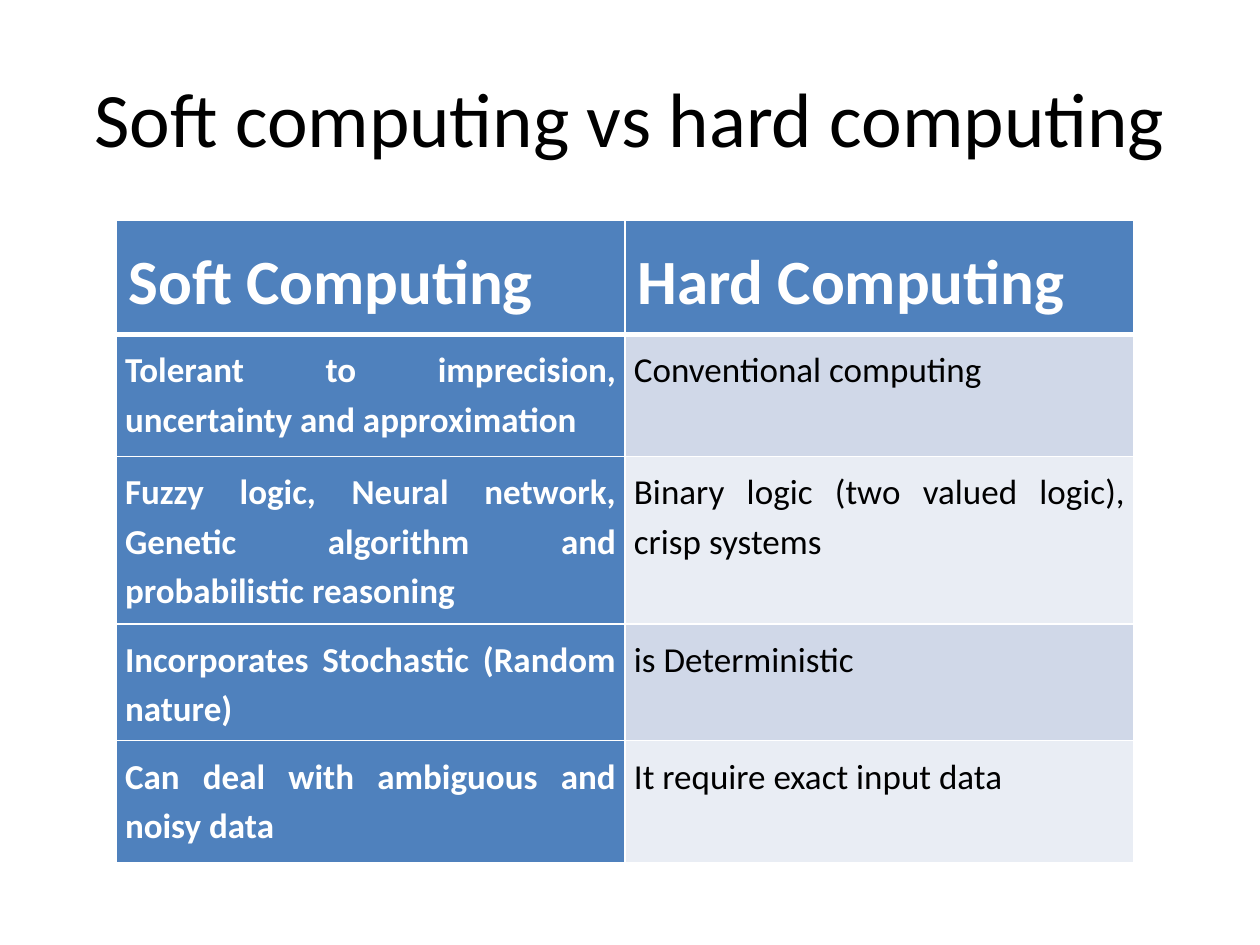
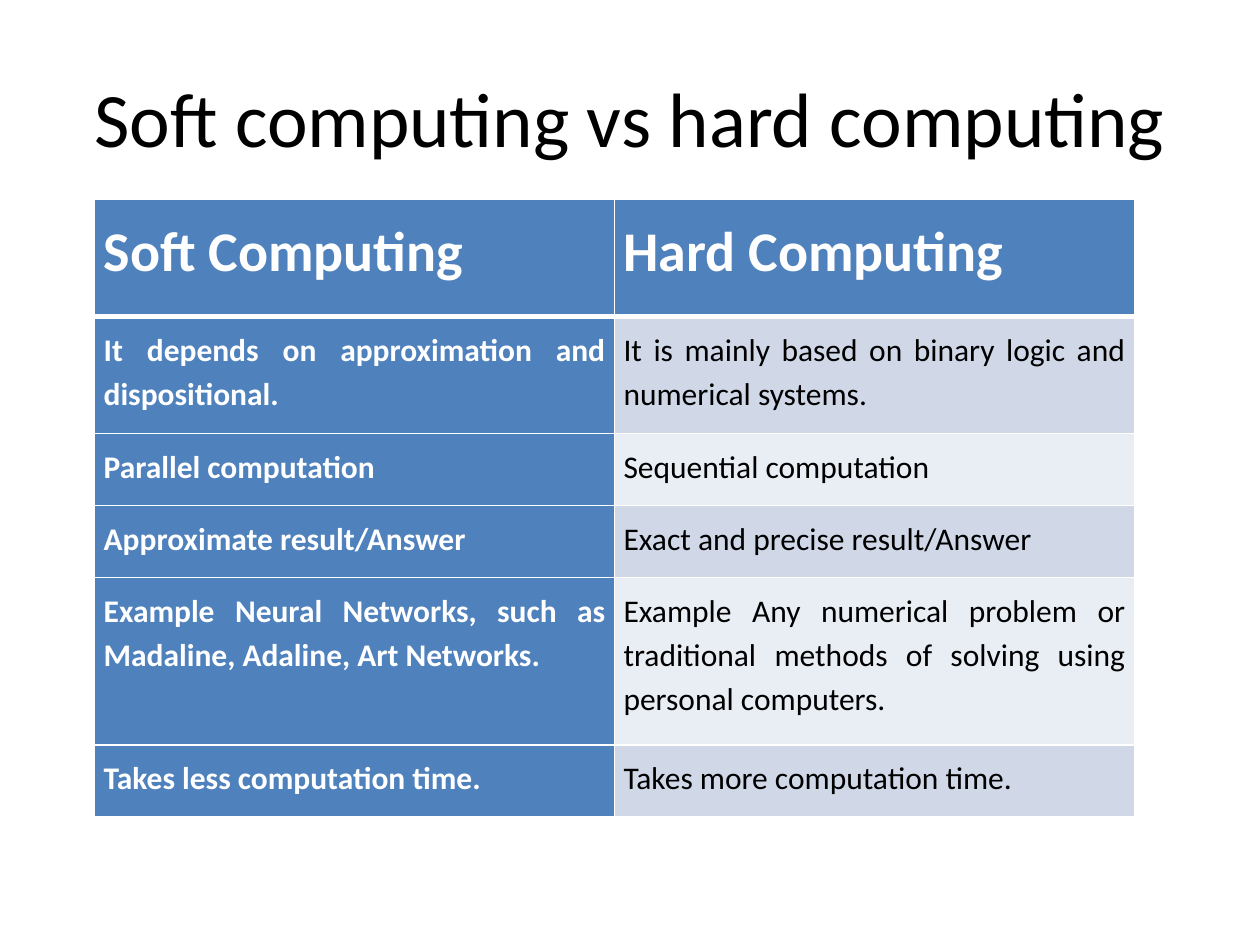
from lxml import etree
from pptx import Presentation
from pptx.dml.color import RGBColor
from pptx.enum.text import MSO_ANCHOR, PP_ALIGN
from pptx.oxml.ns import qn
from pptx.util import Cm, Pt

CENTER, LEFT, JUSTIFY = PP_ALIGN.CENTER, PP_ALIGN.LEFT, PP_ALIGN.JUSTIFY
MIDDLE = MSO_ANCHOR.MIDDLE

TITLE = "Soft computing vs hard computing"
HEADINGS = ("Soft Computing", "Hard Computing")
FONT = "Calibri"
COLORS = {
    "text": "000000",
    "white": "FFFFFF",
    "accent": "4F81BD",
    "odd_band": "D0D8E8",
    "even_band": "E9EDF4",
}
TITLE_ONLY = 5
CELL_MARGIN = 0.18

COMPARISONS = [
    {
        "left": 2.34, "top": 4.45, "column_width": 10.26,
        "row_heights": (2.06, 2.46, 3.38, 1.47, 2.46),
        "heading_size": 36, "body_size": 20, "heading_margin": 0.25,
        "rows": [
            ("Tolerant to imprecision, uncertainty and approximation",
             "Conventional computing"),
            ("Fuzzy logic, Neural network, Genetic algorithm and probabilistic reasoning",
             "Binary logic (two valued logic), crisp systems"),
            ("Incorporates Stochastic (Random nature)", "is Deterministic"),
            ("Can deal with ambiguous and noisy data", "It require exact input data"),
        ],
    },
    {
        "left": 1.91, "top": 4.02, "column_width": 10.48,
        "row_heights": (2.36, 2.36, 1.45, 1.45, 3.38, 1.45),
        "heading_size": 32, "body_size": 18, "heading_margin": CELL_MARGIN,
        "rows": [
            ("It depends on approximation and dispositional.",
             "It is mainly based on binary logic and numerical systems."),
            ("Parallel computation", "Sequential computation"),
            ("Approximate result/Answer", "Exact and precise result/Answer"),
            ("Example Neural Networks, such as Madaline, Adaline, Art Networks.",
             "Example Any numerical problem or traditional methods of solving using "
             "personal computers."),
            ("Takes less computation time.", "Takes more computation time."),
        ],
    },
]


def color(name):
    return RGBColor.from_string(COLORS[name])


def style_font(font, size, color_name, bold=False):
    font.name, font.size, font.bold = FONT, Pt(size), bold
    font.color.rgb = color(color_name)


def add_title(page):
    title = page.shapes.title
    title.left, title.top, title.width, title.height = Cm(1.27), Cm(0.76), Cm(22.86), Cm(3.18)
    frame = title.text_frame
    frame.text = TITLE
    frame.vertical_anchor = MIDDLE
    paragraph = frame.paragraphs[0]
    paragraph.alignment = CENTER
    style_font(paragraph.font, 44, "text")


def set_borders(cell, row):
    widths = {"lnL": 1, "lnR": 1, "lnT": 3 if row == 1 else 1, "lnB": 3 if row == 0 else 1}
    properties = cell._tc.get_or_add_tcPr()
    for side, width in widths.items():
        line = etree.SubElement(properties, qn(f"a:{side}"), w=str(Pt(width)))
        fill = etree.SubElement(line, qn("a:solidFill"))
        etree.SubElement(fill, qn("a:srgbClr"), val=COLORS["white"])


def fill_cell(cell, text, row, column, comparison):
    heading = row == 0
    emphasized = heading or column == 0
    band = "odd_band" if row % 2 else "even_band"
    set_borders(cell, row)
    cell.fill.solid()
    cell.fill.fore_color.rgb = color("accent" if emphasized else band)
    margin = Cm(comparison["heading_margin"] if heading else CELL_MARGIN)
    cell.margin_left = cell.margin_right = cell.margin_top = cell.margin_bottom = margin
    cell.text = text
    paragraph = cell.text_frame.paragraphs[0]
    paragraph.alignment = LEFT if heading else JUSTIFY
    paragraph.line_spacing = 1.15
    paragraph.space_after = Pt(10)
    size = comparison["heading_size" if heading else "body_size"]
    style_font(paragraph.font, size, "white" if emphasized else "text", emphasized)


def add_comparison(page, comparison):
    rows = [HEADINGS, *comparison["rows"]]
    heights = comparison["row_heights"]
    table = page.shapes.add_table(
        len(rows), len(HEADINGS), Cm(comparison["left"]), Cm(comparison["top"]),
        Cm(comparison["column_width"] * len(HEADINGS)), Cm(sum(heights)),
    ).table
    table.first_col = True
    for row, (texts, height) in enumerate(zip(rows, heights)):
        table.rows[row].height = Cm(height)
        for column, text in enumerate(texts):
            fill_cell(table.cell(row, column), text, row, column, comparison)


def main():
    deck = Presentation()
    deck.slide_width, deck.slide_height = Cm(25.4), Cm(19.05)
    for comparison in COMPARISONS:
        page = deck.slides.add_slide(deck.slide_layouts[TITLE_ONLY])
        add_title(page)
        add_comparison(page, comparison)
    deck.save("out.pptx")


if __name__ == "__main__":
    main()
